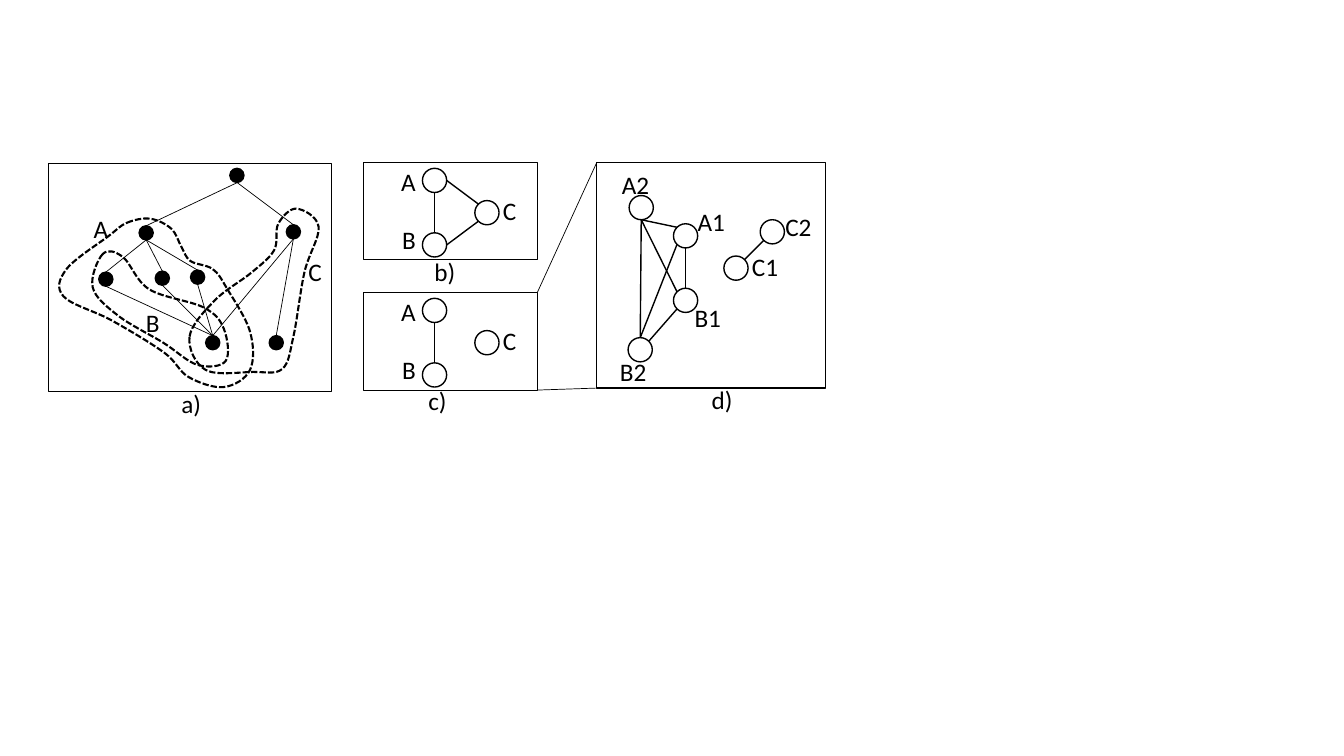
from dataclasses import dataclass

from lxml.etree import SubElement
from pptx import Presentation
from pptx.dml.color import RGBColor
from pptx.enum.dml import MSO_LINE
from pptx.enum.shapes import MSO_CONNECTOR, MSO_SHAPE
from pptx.enum.text import MSO_AUTO_SIZE
from pptx.oxml.ns import qn
from pptx.util import Inches, Pt


@dataclass(frozen=True)
class Theme:
    ink: RGBColor = RGBColor(0, 0, 0)
    font: str = "Calibri"
    text: Pt = Pt(18)
    hairline: Pt = Pt(0.5)
    frame: Pt = Pt(0.75)
    node: Pt = Pt(1)
    hull: Pt = Pt(1.5)


THEME = Theme()
DIAGONAL = 0.71
SITES = {
    "N": (0, -1), "E": (1, 0), "S": (0, 1),
    "NE": (DIAGONAL, -DIAGONAL), "SE": (DIAGONAL, DIAGONAL),
    "SW": (-DIAGONAL, DIAGONAL), "NW": (-DIAGONAL, -DIAGONAL),
}


def style_outline(sp, weight, filled=False):
    sp.shadow.inherit = False
    if filled:
        sp.fill.solid()
        sp.fill.fore_color.rgb = THEME.ink
    else:
        sp.fill.background()
    sp.line.color.rgb = THEME.ink
    sp.line.width = weight


def add_line(shapes, start, end, weight):
    ends = [Inches(v) for v in (*start, *end)]
    line = shapes.add_connector(MSO_CONNECTOR.STRAIGHT, *ends)
    line.line.color.rgb = THEME.ink
    line.line.width = weight
    SubElement(line.element.spPr, qn("a:effectLst"))


def add_label(shapes, text, x, y, width, wrap=True):
    sp = shapes.add_textbox(Inches(x), Inches(y), Inches(width), Inches(0.4))
    tf = sp.text_frame
    tf.word_wrap = wrap
    tf.auto_size = MSO_AUTO_SIZE.SHAPE_TO_FIT_TEXT
    p = tf.paragraphs[0]
    p.text = text
    p.font.name = THEME.font
    p.font.size = THEME.text
    p.font.color.rgb = THEME.ink


def add_frame(shapes, box):
    style_outline(shapes.add_shape(MSO_SHAPE.RECTANGLE, *map(Inches, box)), THEME.frame)


def add_caption(shapes, box, text, dx, dy):
    add_label(shapes, text, box[0] + dx, box[1] + dy, 0.43, wrap=False)


def add_labels(shapes, box, labels, width):
    for text, (dx, dy) in labels.items():
        add_label(shapes, text, box[0] + dx, box[1] + dy, width)


def add_graph(shapes, box, nodes, edges, diameter, weight, filled=False):
    """Draw nodes given by centre, and edges given as (node, site, node, site)."""
    left, top = box[:2]
    radius = diameter / 2

    def site_point(name, site):
        (x, y), (ux, uy) = nodes[name], SITES[site]
        return left + x + ux * radius, top + y + uy * radius

    for x, y in nodes.values():
        node = shapes.add_shape(
            MSO_SHAPE.OVAL, Inches(left + x - radius), Inches(top + y - radius),
            Inches(diameter), Inches(diameter))
        style_outline(node, THEME.node, filled)
    for a, a_site, b, b_site in edges:
        add_line(shapes, site_point(a, a_site), site_point(b, b_site), weight)


def add_hull(shapes, box, anchors):
    """Draw a dashed closed curve running smoothly through the anchors."""
    points = [(Inches(box[0] + x), Inches(box[1] + y)) for x, y in anchors]
    count = len(points)

    def handle(i, sign):
        before, here, after = points[i - 1], points[i % count], points[(i + 1) % count]
        return tuple(h + sign * (a - b) / 6 for b, h, a in zip(before, here, after))

    builder = shapes.build_freeform(*points[0])
    for i in range(count):
        j = (i + 1) % count
        builder.add_line_segments([handle(i, 1), handle(j, -1), points[j]], close=False)
    builder.add_line_segments([], close=True)
    sp = builder.convert_to_shape()
    segments = list(sp.element.iter(qn("a:lnTo")))
    for i in range(0, len(segments), 3):
        curve = segments[i].makeelement(qn("a:cubicBezTo"))
        segments[i].addprevious(curve)
        for segment in segments[i:i + 3]:
            curve.append(segment[0])
            segment.getparent().remove(segment)
    style_outline(sp, THEME.hull)
    sp.line.dash_style = MSO_LINE.SQUARE_DOT


def draw_tree(shapes, box):
    """Panel a: a rooted graph with three overlapping node sets."""
    nodes = {
        "root": (1.87, 0.12), "left": (0.97, 0.69), "right": (2.43, 0.68),
        "child1": (0.57, 1.15), "child2": (1.13, 1.14), "child3": (1.48, 1.13),
        "sink": (1.63, 1.78), "leaf": (2.26, 1.78),
    }
    edges = [("root", "SE", "left", "N"), ("root", "S", "right", "N"),
             ("right", "S", "sink", "N"), ("right", "S", "leaf", "N")]
    for child in ("child1", "child2", "child3"):
        edges += [("left", "S", child, "N"), (child, "S", "sink", "N")]
    hulls = {
        "A": [(0.78, 0.59), (1.01, 0.55), (1.22, 0.65), (1.32, 0.83), (1.41, 0.97),
              (1.63, 1.05), (1.77, 1.24), (2, 1.67), (2, 2.05), (1.74, 2.22),
              (1.39, 2.12), (1.15, 1.88), (0.63, 1.56), (0.15, 1.32), (0.18, 1.05),
              (0.6, 0.72)],
        "B": [(0.54, 0.9), (0.44, 1.23), (0.69, 1.51), (1.14, 1.78), (1.48, 2),
              (1.76, 1.96), (1.74, 1.64), (1.54, 1.43), (1, 1.25), (0.74, 0.93)],
        "C": [(1.4, 1.72), (1.65, 1.36), (2.02, 1.08), (2.24, 0.86), (2.28, 0.6),
              (2.46, 0.45), (2.68, 0.63), (2.54, 1.08), (2.43, 1.72), (2.32, 2.04),
              (2.03, 2.07), (1.56, 2.05)],
    }
    labels = {"A": (0.35, 0.45), "B": (0.87, 1.38), "C": (2.48, 0.87)}
    add_graph(shapes, box, nodes, edges, 0.14, THEME.hairline, filled=True)
    for anchors in hulls.values():
        add_hull(shapes, box, anchors)
    add_labels(shapes, box, labels, 0.26)
    add_frame(shapes, box)


def draw_set_graph(shapes, box, edges):
    """Panels b and c: one node for each set."""
    nodes = {"A": (0.7, 0.18), "B": (0.7, 0.82), "C": (1.22, 0.5)}
    labels = {"A": (0.27, -0.01), "B": (0.28, 0.57), "C": (1.28, 0.28)}
    add_graph(shapes, box, nodes, edges, 0.24, THEME.node)
    add_labels(shapes, box, labels, 0.26)
    add_frame(shapes, box)


def draw_split_graph(shapes, box):
    """Panel d: two nodes for each set."""
    nodes = {"A1": (0.88, 0.73), "B1": (0.88, 1.37), "C1": (1.38, 1.05),
             "A2": (0.44, 0.45), "B2": (0.43, 1.86), "C2": (1.74, 0.69)}
    edges = [("A1", "S", "B1", "N"), ("A2", "S", "A1", "NW"), ("C2", "SW", "C1", "NE"),
             ("B1", "SW", "B2", "NE"), ("A2", "S", "B2", "N"), ("A1", "SW", "B2", "N"),
             ("A2", "S", "B1", "NW")]
    labels = {"A1": (0.9, 0.39), "B1": (0.87, 1.34), "C1": (1.44, 0.83),
              "A2": (0.15, 0.02), "B2": (0.13, 1.88), "C2": (1.77, 0.44)}
    add_graph(shapes, box, nodes, edges, 0.24, THEME.node)
    add_labels(shapes, box, labels, 0.5)
    add_frame(shapes, box)


def draw_zoom(shapes, source, target):
    """Join the right corners of the source to the left corners of the target."""
    right = source[0] + source[2]
    for part in (0, 1):
        add_line(shapes, (right, source[1] + part * source[3]),
                 (target[0], target[1] + part * target[3]), THEME.hairline)


def main():
    prs = Presentation()
    prs.slide_width, prs.slide_height = Inches(13.33), Inches(7.5)
    shapes = prs.slides.add_slide(prs.slide_layouts[6]).shapes
    tree = (0.48, 1.62, 2.81, 2.26)
    linked = (3.61, 1.61, 1.72, 0.97)
    reduced = (3.61, 2.9, 1.72, 0.97)
    split = (5.92, 1.61, 2.27, 2.24)
    ab_edge = ("A", "S", "B", "N")

    draw_tree(shapes, tree)
    draw_set_graph(shapes.add_group_shape().shapes, linked,
                   [ab_edge, ("A", "E", "C", "NW"), ("B", "E", "C", "SW")])
    draw_set_graph(shapes, reduced, [ab_edge])
    draw_split_graph(shapes.add_group_shape().shapes, split)
    add_caption(shapes, tree, "a)", 1.22, 2.18)
    add_caption(shapes, linked, "b)", 0.6, 0.88)
    add_caption(shapes, reduced, "c)", 0.54, 0.87)
    add_caption(shapes, split, "d)", 1.04, 2.15)
    draw_zoom(shapes, reduced, split)
    prs.save("out.pptx")


if __name__ == "__main__":
    main()
